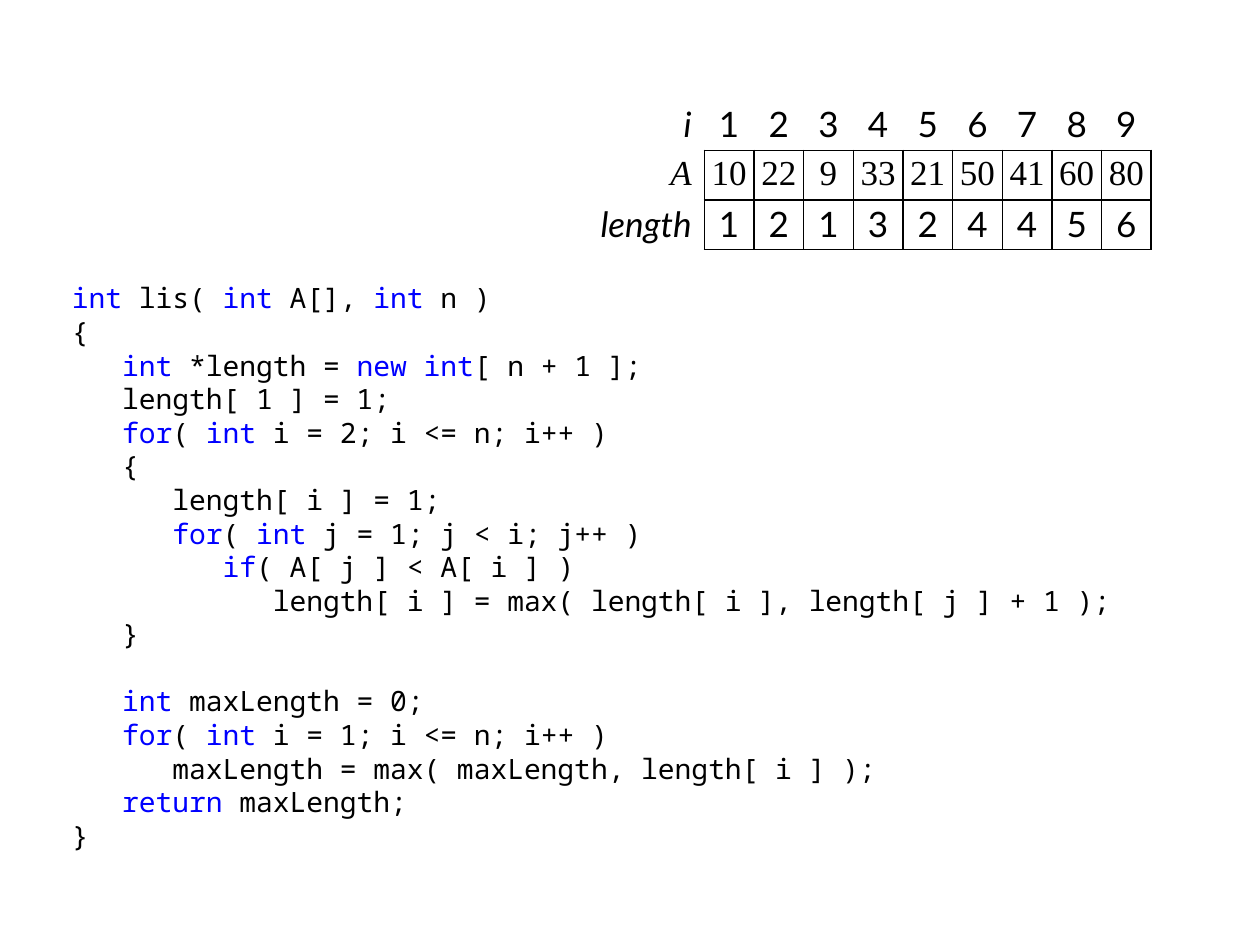
from dataclasses import dataclass

from lxml.etree import SubElement
from pptx import Presentation
from pptx.dml.color import RGBColor
from pptx.enum.text import MSO_ANCHOR, MSO_AUTO_SIZE, PP_ALIGN
from pptx.oxml.ns import qn
from pptx.util import Inches, Pt


@dataclass(frozen=True)
class Theme:
    """Colours, fonts and sizes of the slide."""
    ink: RGBColor = RGBColor(0, 0, 0)
    keyword: RGBColor = RGBColor(0, 0, 255)
    code_font: str = "Noto Sans Mono"
    label_font: str = "Lato"
    value_font: str = "Times New Roman"
    code_size: Pt = Pt(16)
    code_line: Pt = Pt(19.2)
    table_size: Pt = Pt(20)
    border: Pt = Pt(1)


THEME = Theme()

ROWS = [
    ("i", THEME.label_font, [1, 2, 3, 4, 5, 6, 7, 8, 9]),
    ("A", THEME.value_font, [10, 22, 9, 33, 21, 50, 41, 60, 80]),
    ("length", THEME.label_font, [1, 2, 1, 3, 2, 4, 4, 5, 6]),
]

CODE = """`int `lis( `int `A[], `int `n )
{
   `int `*length = `new int`[ n + 1 ];
   length[ 1 ] = 1;
   `for`( `int` i = 2; i <= n; i++ )
   {
      length[ i ] = 1;
      `for`( `int` j = 1; j < i; j++ )
         `if`( A[ j ] < A[ i ] )
            length[ i ] = max( length[ i ], length[ j ] + 1 );
   }

   `int `maxLength = 0;
   `for`( `int` i = 1; i <= n; i++ )
      maxLength = max( maxLength, length[ i ] );
   `return `maxLength;
}"""


def write_text(paragraph, text, font, size, color=THEME.ink, italic=False):
    """Append one formatted run to a paragraph."""
    run = paragraph.add_run()
    run.text = text
    run.font.name = font
    run.font.size = size
    run.font.italic = italic
    run.font.color.rgb = color


def set_borders(cell, sides):
    """Draw the named sides of a cell and hide the others."""
    properties = cell._tc.get_or_add_tcPr()
    for side in "LRTB":
        line = SubElement(properties, qn(f"a:ln{side}"), w=str(THEME.border))
        if side in sides:
            fill = SubElement(line, qn("a:solidFill"))
            SubElement(fill, qn("a:srgbClr"), val=str(THEME.ink))
        else:
            SubElement(line, qn("a:noFill"))


def format_cell(cell, text, font, is_label, sides):
    """Fill one table cell with a row label or a value."""
    set_borders(cell, sides)
    cell.fill.background()
    cell.vertical_anchor = MSO_ANCHOR.MIDDLE
    cell.margin_left = cell.margin_top = 0
    cell.margin_right = Inches(0.1) if is_label else 0
    cell.margin_bottom = Inches(0.02)
    paragraph = cell.text_frame.paragraphs[0]
    paragraph.alignment = PP_ALIGN.RIGHT if is_label else PP_ALIGN.CENTER
    write_text(paragraph, text, font, THEME.table_size, italic=is_label)


def add_trace_table(slide, left, top, width, height):
    """Place the table of indices, values and lengths in its box."""
    value_count = len(ROWS[0][2])
    label_width = Inches(0.98)
    table = slide.shapes.add_table(
        len(ROWS), value_count + 1, left, top, width, height).table
    table.first_row = table.horz_banding = False
    table.columns[0].width = label_width
    for column in range(1, value_count + 1):
        table.columns[column].width = (width - label_width) // value_count
    for row, (label, font, values) in enumerate(ROWS):
        table.rows[row].height = height // len(ROWS)
        format_cell(table.cell(row, 0), label, font, True, "R" if row else "")
        for column, value in enumerate(values, start=1):
            format_cell(table.cell(row, column), str(value), font, False,
                        "LRTB" if row else "B")


def add_code(slide, left, top, width, height):
    """Place the code listing in the body placeholder."""
    body = slide.placeholders[1]
    body.left, body.top, body.width, body.height = left, top, width, height
    frame = body.text_frame
    frame.word_wrap = True
    frame.auto_size = MSO_AUTO_SIZE.NONE
    frame.vertical_anchor = MSO_ANCHOR.TOP
    paragraph = frame.paragraphs[0]
    for block_index, block in enumerate(CODE.split("\n\n")):
        for line_index, line in enumerate(block.split("\n")):
            if block_index or line_index:
                paragraph = frame.add_paragraph()
            properties = paragraph._p.get_or_add_pPr()
            properties.set("marL", "0")
            properties.set("indent", "0")
            SubElement(properties, qn("a:buNone"))
            starts_block = block_index > 0 and line_index == 0
            paragraph.space_before = THEME.code_line if starts_block else Pt(0)
            paragraph.line_spacing = THEME.code_line
            for index, part in enumerate(line.split("`")):
                if part:
                    color = THEME.keyword if index % 2 else THEME.ink
                    write_text(paragraph, part, THEME.code_font,
                               THEME.code_size, color=color)


def main():
    """Build and save the slide."""
    presentation = Presentation()
    presentation.slide_width = Inches(10)
    presentation.slide_height = Inches(7.5)
    slide = presentation.slides.add_slide(presentation.slide_layouts[1])
    title = slide.shapes.title.element
    title.getparent().remove(title)
    add_code(slide, Inches(0.47), Inches(2.18), Inches(8.66), Inches(4.72))
    add_trace_table(slide, Inches(4.61), Inches(0.8), Inches(4.53), Inches(1.18))
    presentation.save("out.pptx")


if __name__ == "__main__":
    main()
